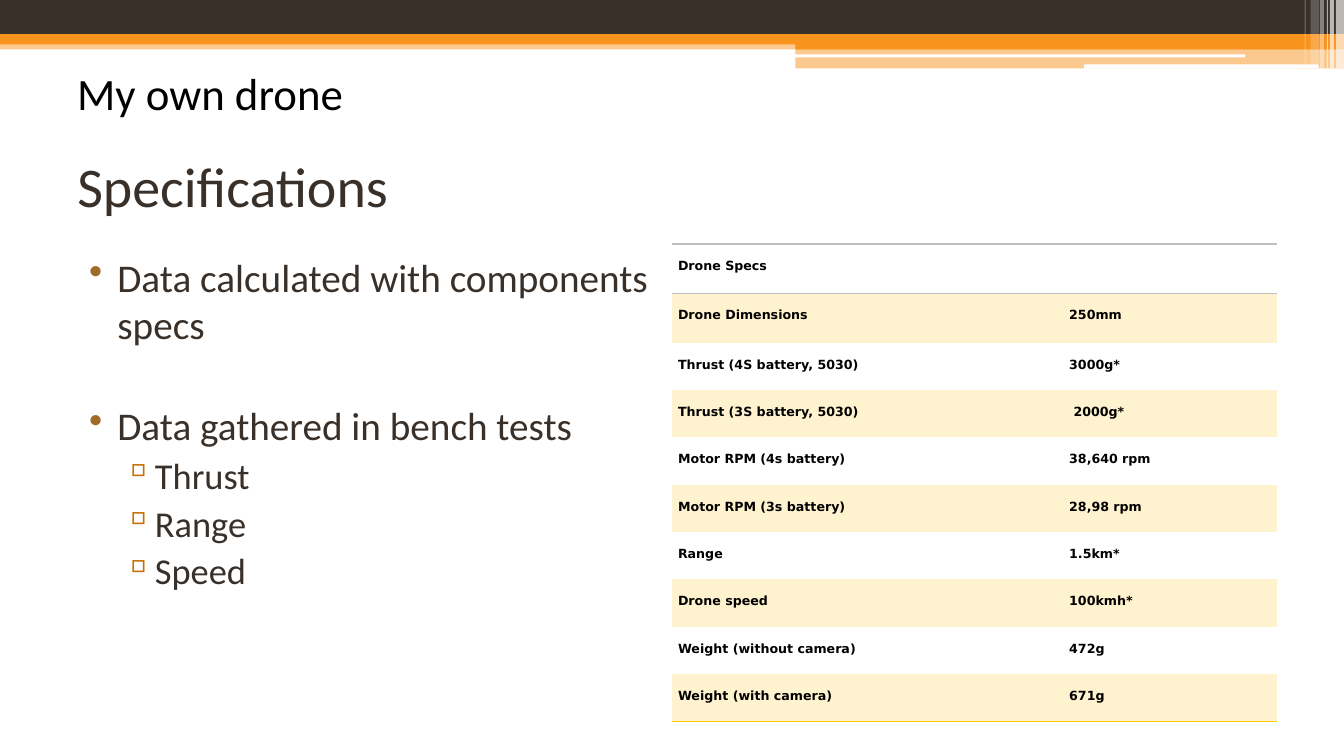
import pptx
import pptx.dml.color
import pptx.enum.shapes
import pptx.enum.text
import pptx.oxml
import pptx.oxml.ns
import pptx.util
from lxml import etree

Inches, Pt, RGBColor = pptx.util.Inches, pptx.util.Pt, pptx.dml.color.RGBColor
MSO_SHAPE, qn = pptx.enum.shapes.MSO_SHAPE, pptx.oxml.ns.qn

BROWN = RGBColor(0x39, 0x30, 0x2A)
ORANGE = RGBColor(0xF8, 0x93, 0x1D)
WHITE = RGBColor(0xFF, 0xFF, 0xFF)
BLACK = RGBColor(0, 0, 0)
BULLET = RGBColor(0xA0, 0x6A, 0x29)
SUB_BULLET = RGBColor(0xCA, 0x6F, 0x06)
BAND = RGBColor(0xFF, 0xF2, 0xCE)
GOLD = RGBColor(0xFF, 0xCA, 0x08)
GREY = RGBColor(0xBF, 0xBF, 0xBF)
FONT, TABLE_FONT = "Calibri", "DejaVu Sans"

# Content
SECTION = "My own drone"
TITLE = "Specifications"
POINTS = [  # level, space before, text
    (0, 3, "Data calculated with components specs"),
    (0, 39, "Data gathered in bench tests"),
    (1, 3, "Thrust"),
    (1, 3, "Range"),
    (1, 3, "Speed"),
]
LEVELS = [  # size, left margin, hanging indent, bullet, bullet colour
    (28, 0.4, 0.28, "•", BULLET),
    (26, 0.72, 0.27, "▫", SUB_BULLET),
]
SPECS = [
    ("Drone Specs", ""),
    ("Drone Dimensions", "250mm"),
    ("Thrust (4S battery, 5030)", "3000g*"),
    ("Thrust (3S battery, 5030)", " 2000g*"),
    ("Motor RPM (4s battery)", "38,640 rpm"),
    ("Motor RPM (3s battery)", "28,98 rpm"),
    ("Range", "1.5km*"),
    ("Drone speed", "100kmh*"),
    ("Weight (without camera)", "472g"),
    ("Weight (with camera)", "671g"),
]

# Slide and grid
WIDTH, HEIGHT = 13.33, 7.5
MARGIN, COLUMN = WIDTH / 20, WIDTH * 0.45
MIDDLE = WIDTH / 2
SPEC_COLUMNS = (3.88, 2.12)
SPEC_ROWS = [0.49] * 2 + [0.47] * 8

# Header decoration: left, top, width, height, colour, opacity in percent
BARS = [
    (0, 0.4, WIDTH, 0.09, ORANGE, 50),
    (0, 0, WIDTH, 0.34, BROWN, 100),
    (0, 0.34, WIDTH, 0.1, ORANGE, 100),
    (7.89, 0.39, 5.44, 0.1, ORANGE, 100),
    (7.89, 0.48, 5.44, 0.2, ORANGE, 50),
]
SLITS = [(7.88, 0.54, 4.47, 0.03, WHITE, 100), (10.75, 0.64, 2.33, 0.04, WHITE, 100)]
STRIPES = [  # left, width, height, opacity
    (13.25, 0.08, 0.68, 65),
    (13.19, 0.04, 0.68, 65),
    (13.16, 0.01, 0.68, 60),
    (13.09, 0.04, 0.68, 40),
    (13, 0.08, 0.64, 20),
    (12.94, 0.01, 0.64, 30),
]


def add_bar(slide, geometry, left, top, width, height, colour, opacity):
    bar = slide.shapes.add_shape(geometry, *map(Inches, (left, top, width, height)))
    bar.shadow.inherit = False
    bar.line.fill.background()
    bar.fill.solid()
    bar.fill.fore_color.rgb = colour
    if opacity < 100:
        tint = bar.fill._xPr.find(".//" + qn("a:srgbClr"))
        etree.SubElement(tint, qn("a:alpha"), val=str(opacity * 1000))


def style(paragraph, size, colour, name=FONT, bold=False):
    font = paragraph.font
    font.size, font.name, font.bold = Pt(size), name, bold
    font.color.rgb = colour


def set_bullet(paragraph, margin, hanging, mark, colour):
    properties = paragraph._p.get_or_add_pPr()
    properties.set("marL", str(Inches(margin)))
    properties.set("indent", str(-Inches(hanging)))
    tint = etree.Element(qn("a:buClr"))
    etree.SubElement(tint, qn("a:srgbClr"), val=str(colour))
    symbol = etree.Element(qn("a:buChar"), char=mark)
    default_run = properties.find(qn("a:defRPr"))
    for part in (tint, symbol):
        default_run.addprevious(part)


def add_border(cell, side, colour):
    border = etree.Element(qn("a:" + side), w=str(Pt(1)))
    fill = etree.SubElement(border, qn("a:solidFill"))
    etree.SubElement(fill, qn("a:srgbClr"), val=str(colour))
    cell._tc.get_or_add_tcPr().insert(0, border)


def add_text(slide, left, top, width, height):
    box = slide.shapes.add_textbox(*map(Inches, (left, top, width, height)))
    box.text_frame.word_wrap = True
    return box.text_frame


def add_points(slide):
    frame = add_text(slide, MARGIN, 2.46, COLUMN, 4.73)
    for index, (level, space, text) in enumerate(POINTS):
        point = frame.add_paragraph() if index else frame.paragraphs[0]
        size, *bullet = LEVELS[level]
        point.text, point.level, point.space_before = text, level, Pt(space)
        style(point, size, BROWN)
        set_bullet(point, *bullet)


def add_specs(slide):
    place = map(Inches, (MIDDLE, 2.42, sum(SPEC_COLUMNS), sum(SPEC_ROWS)))
    specs = slide.shapes.add_table(len(SPECS), len(SPEC_COLUMNS), *place).table
    specs.first_row = specs.horz_banding = False
    # The plain style without grid lines
    specs._tbl.tblPr.find(qn("a:tableStyleId")).text = "{2D5ABB26-0587-4C30-8999-92F81FD0307C}"
    for column, width in zip(specs.columns, SPEC_COLUMNS):
        column.width = Inches(width)
    for row, height in zip(specs.rows, SPEC_ROWS):
        row.height = Inches(height)
    for r, row in enumerate(SPECS):
        for c, text in enumerate(row):
            cell = specs.cell(r, c)
            cell.margin_left = cell.margin_right = Inches(0.06)
            cell.margin_top = cell.margin_bottom = 0
            entry = cell.text_frame.paragraphs[0]
            entry.text, entry.line_spacing = text, 2.0
            entry.alignment = pptx.enum.text.PP_ALIGN.JUSTIFY
            style(entry, 9, BLACK, TABLE_FONT, True)
            if r % 2:
                cell.fill.solid()
                cell.fill.fore_color.rgb = BAND
            else:
                cell.fill.background()
            if r == 0:
                add_border(cell, "lnB", GREY)
                add_border(cell, "lnT", GREY)
            elif r == len(SPECS) - 1:
                add_border(cell, "lnB", GOLD)


def main():
    deck = pptx.Presentation()
    deck.slide_width, deck.slide_height = Inches(WIDTH), Inches(HEIGHT)
    slide = deck.slides.add_slide(deck.slide_layouts[5])

    # Header decoration
    for bar in BARS:
        add_bar(slide, MSO_SHAPE.RECTANGLE, *bar)
    for slit in SLITS:
        add_bar(slide, MSO_SHAPE.ROUNDED_RECTANGLE, *slit)
    for left, width, height, opacity in STRIPES:
        add_bar(slide, MSO_SHAPE.RECTANGLE, left, 0, width, height, WHITE, opacity)

    # Section name and title
    section = add_text(slide, MARGIN, 0.6, 4.66, 0.64).paragraphs[0]
    section.text = SECTION
    style(section, 32, BLACK)
    title = slide.shapes.title
    title.left, title.top = Inches(MARGIN), Inches(1.25)
    title.width, title.height = Inches(2 * COLUMN), Inches(1.17)
    title.text_frame.text = TITLE
    title.text_frame.vertical_anchor = pptx.enum.text.MSO_ANCHOR.MIDDLE
    heading = title.text_frame.paragraphs[0]
    heading.alignment = pptx.enum.text.PP_ALIGN.LEFT
    style(heading, 40, BROWN)

    # Bullets and specification table
    add_points(slide)
    add_specs(slide)
    deck.save("out.pptx")


if __name__ == "__main__":
    main()
